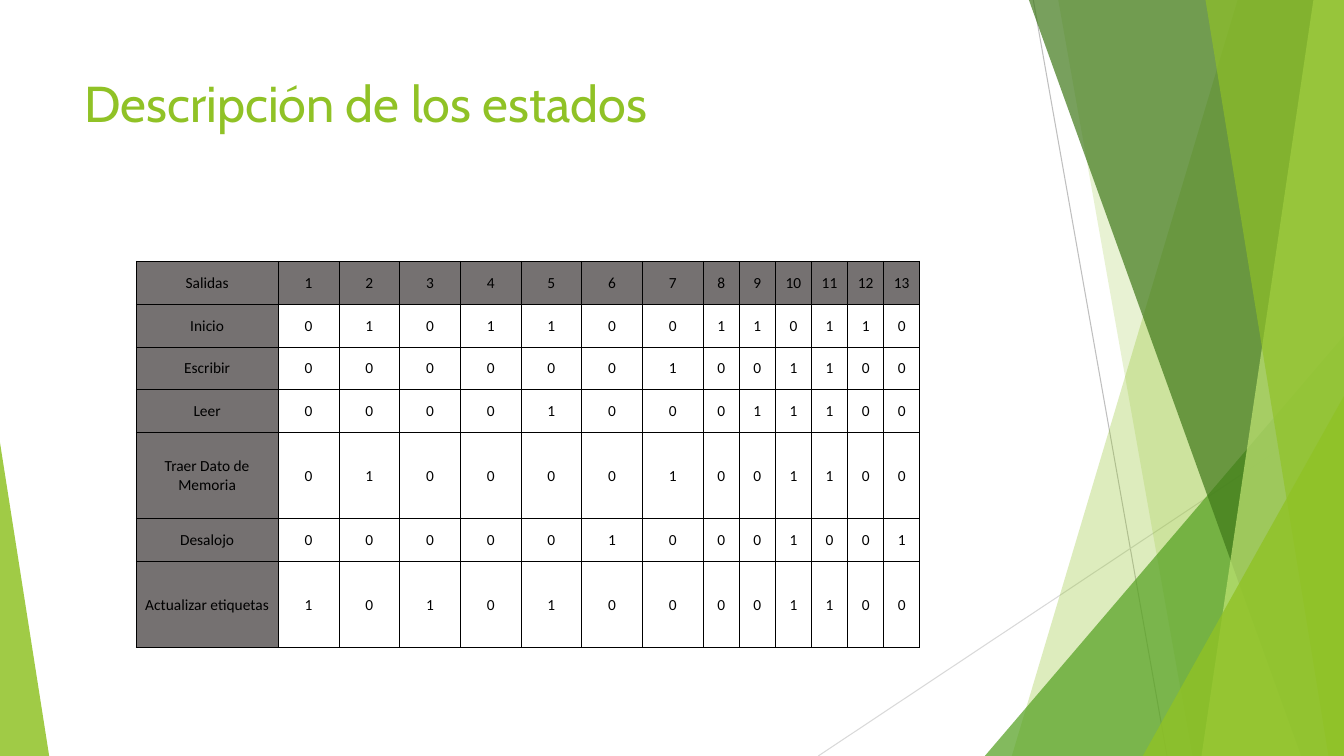
from lxml import etree
from pptx import Presentation
from pptx.dml.color import RGBColor
from pptx.enum.shapes import MSO_CONNECTOR, MSO_SHAPE
from pptx.enum.text import MSO_ANCHOR, PP_ALIGN
from pptx.oxml.ns import qn
from pptx.util import Cm, Pt

STRAIGHT = MSO_CONNECTOR.STRAIGHT
TRIANGLE = MSO_SHAPE.ISOSCELES_TRIANGLE
CENTER = PP_ALIGN.CENTER
TOP, MIDDLE = MSO_ANCHOR.TOP, MSO_ANCHOR.MIDDLE

LIME = RGBColor(0x90, 0xC2, 0x26)
GREEN = RGBColor(0x54, 0xA0, 0x21)
FOREST = RGBColor(0x3F, 0x78, 0x19)
PALE_LIME = RGBColor(0xC0, 0xE4, 0x74)
GRAY = RGBColor(0xBF, 0xBF, 0xBF)
LIGHT_GRAY = RGBColor(0xD9, 0xD9, 0xD9)
HEADER_GRAY = RGBColor(0x75, 0x71, 0x71)
WHITE = RGBColor(0xFF, 0xFF, 0xFF)
BLACK = RGBColor(0, 0, 0)

WIDTH, HEIGHT = 33.87, 19.05

TITLE = "Descripción de los estados"
OUTPUTS = ["Salidas"] + [str(number) for number in range(1, 14)]
STATES = [
    ("Inicio", "0101100110110"),
    ("Escribir", "0000001001100"),
    ("Leer", "0000100011100"),
    ("Traer Dato de Memoria", "0100001001100"),
    ("Desalojo", "0000010001001"),
    ("Actualizar etiquetas", "1010100001100"),
]
COLUMN_WIDTHS = [3.58] + [1.53] * 7 + [0.91] * 6
ROW_HEIGHTS = [1.08, 1.08, 1.08, 1.08, 2.17, 1.08, 2.17]

# Start x, start y, end x, end y, colour
RAYS = [
    (26.04, 0, 29.41, HEIGHT, GRAY),
    (WIDTH, 10.24, 20.62, HEIGHT, LIGHT_GRAY),
]
# Top left x, bottom left x, colour, opacity in percent
BACK_FACETS = [(31.19, 25.5, LIME, 30), (26.67, 30.05, LIME, 20)]
FRONT_FACETS = [
    (25.93, 32.79, FOREST, 70),
    (33.1, 30.28, PALE_LIME, 70),
    (30.38, 33.48, LIME, 65),
]
# Left, width, height, apex position, colour, opacity in percent
BACK_CORNER = (24.82, 9.05, 10.59, 1, GREEN, 72)
FRONT_CORNER = (28.8, 5.07, 9.07, 1, LIME, 80)
LEFT_CORNER = (0, 1.24, 7.9, 0, LIME, 85)


def paint(shape, color, opacity):
    shape.shadow.inherit = False
    shape.line.fill.background()
    shape.fill.solid()
    shape.fill.fore_color.rgb = color
    tint = next(shape._element.spPr.iter(qn("a:srgbClr")))
    etree.SubElement(tint, qn("a:alpha"), val=str(opacity * 1000))


def add_ray(page, x1, y1, x2, y2, color):
    ray = page.shapes.add_connector(STRAIGHT, Cm(x1), Cm(y1), Cm(x2), Cm(y2))
    ray.line.color.rgb = color
    ray.line.width = Pt(0.75)
    etree.SubElement(ray._element.spPr, qn("a:effectLst"))


def add_facet(page, top_x, bottom_x, color, opacity):
    """Fill from a slanted left edge to the right edge of the slide."""
    corners = [(WIDTH, 0), (WIDTH, HEIGHT), (bottom_x, HEIGHT)]
    outline = page.shapes.build_freeform(Cm(top_x), Cm(0))
    outline.add_line_segments([(Cm(x), Cm(y)) for x, y in corners], close=True)
    paint(outline.convert_to_shape(), color, opacity)


def add_corner(page, left, width, height, apex, color, opacity):
    """Stand a right-angled triangle on the bottom edge of the slide."""
    corner = page.shapes.add_shape(
        TRIANGLE, Cm(left), Cm(HEIGHT - height), Cm(width), Cm(height))
    corner.adjustments[0] = apex
    paint(corner, color, opacity)


def add_span(para, text, font, size, color):
    span = para.add_run()
    span.text = text
    span.font.name = font
    span.font.size = Pt(size)
    span.font.color.rgb = color


def add_borders(cell):
    properties = cell._tc.get_or_add_tcPr()
    for side in ("a:lnL", "a:lnR", "a:lnT", "a:lnB"):
        border = etree.SubElement(properties, qn(side), w=str(Pt(0.5)))
        fill = etree.SubElement(border, qn("a:solidFill"))
        etree.SubElement(fill, qn("a:srgbClr"), val=str(BLACK))


def fill_cell(cell, text, color):
    add_borders(cell)
    cell.fill.solid()
    cell.fill.fore_color.rgb = color
    cell.vertical_anchor = MIDDLE
    cell.margin_left = cell.margin_right = cell.margin_top = Cm(0.02)
    cell.margin_bottom = 0
    para = cell.text_frame.paragraphs[0]
    para.alignment = CENTER
    add_span(para, text, "Calibri", 11, BLACK)


def add_background(page):
    for ray in RAYS:
        add_ray(page, *ray)
    for facet in BACK_FACETS:
        add_facet(page, *facet)
    add_corner(page, *BACK_CORNER)
    for facet in FRONT_FACETS:
        add_facet(page, *facet)
    add_corner(page, *FRONT_CORNER)
    add_corner(page, *LEFT_CORNER)


def add_title(page):
    box = page.shapes.add_textbox(Cm(1.88), Cm(1.7), Cm(23.88), Cm(3.35))
    box.text_frame.word_wrap = True
    box.text_frame.vertical_anchor = TOP
    add_span(box.text_frame.paragraphs[0], TITLE, "Cabin", 36, LIME)


def add_state_table(page):
    rows = [OUTPUTS] + [[state, *bits] for state, bits in STATES]
    table = page.shapes.add_table(
        len(rows), len(OUTPUTS), Cm(3.43), Cm(6.58),
        Cm(sum(COLUMN_WIDTHS)), Cm(sum(ROW_HEIGHTS))).table
    for column, width in zip(table.columns, COLUMN_WIDTHS):
        column.width = Cm(width)
    for row, height in zip(table.rows, ROW_HEIGHTS):
        row.height = Cm(height)
    for r, values in enumerate(rows):
        for c, value in enumerate(values):
            is_header = r == 0 or c == 0
            fill_cell(table.cell(r, c), value, HEADER_GRAY if is_header else WHITE)


def main():
    deck = Presentation()
    deck.slide_width, deck.slide_height = Cm(WIDTH), Cm(HEIGHT)
    page = deck.slides.add_slide(deck.slide_layouts[6])
    add_background(page)
    add_title(page)
    add_state_table(page)
    deck.save("out.pptx")


if __name__ == "__main__":
    main()
